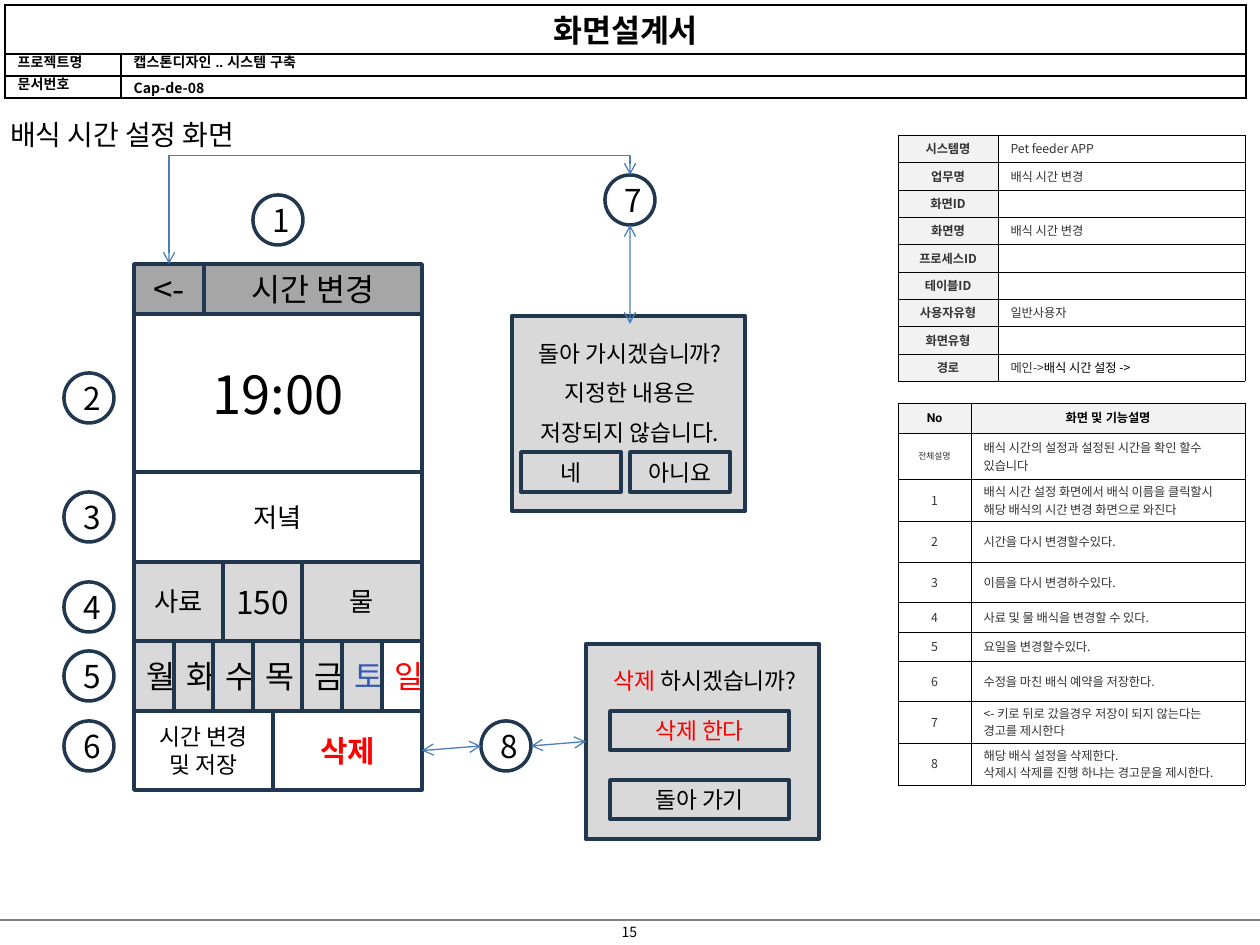
"""Build the screen design sheet for the feeding time settings screen."""
from itertools import pairwise

from lxml.etree import SubElement
from pptx import Presentation
from pptx.dml.color import RGBColor
from pptx.enum.shapes import MSO_CONNECTOR as LINK, MSO_SHAPE as SHAPE
from pptx.enum.text import MSO_ANCHOR as ANCHOR, MSO_AUTO_SIZE as FIT, PP_ALIGN as ALIGN
from pptx.oxml.ns import qn
from pptx.util import Emu, Pt

PX = 914400 / 126
NOTO = "Noto Sans CJK KR"
BLACK, WHITE, TEXT, RED = "000000", "FFFFFF", "333333", "FF0000"
NAVY, BLUE, PANEL, BAR, LABEL = "21364F", "4B7EBC", "D9D9D9", "A6A6A6", "F2F2F2"
color_of = RGBColor.from_string


def write(frame, text, size, color=BLACK, bold=False, font=NOTO, align=ALIGN.CENTER, tail=""):
    frame.text = text
    frame.word_wrap = True
    if tail:
        frame.paragraphs[0].add_run().text = tail
    for paragraph in frame.paragraphs:
        paragraph.alignment = align
        for run in paragraph.runs:
            run.font.size, run.font.bold = Pt(size), bold
            run.font.color.rgb = color_of(BLACK if run.text == tail else color)
            run.font.name = font
            SubElement(run.font._element, qn("a:ea"), typeface=font)
        if not paragraph.runs:
            SubElement(paragraph._p, qn("a:endParaRPr"), sz=str(size * 100))


def box(place, text, size, color=BLACK, fill=PANEL, line=2, kind=SHAPE.RECTANGLE, bold=False, tail=""):
    shape = slide.shapes.add_shape(kind, *[Emu(round(n * PX)) for n in place])
    shape.shadow.inherit = False
    shape.fill.solid()
    shape.fill.fore_color.rgb = color_of(fill)
    if line:
        shape.line.color.rgb = color_of(NAVY)
        shape.line.width = Pt(line)
    else:
        shape.line.fill.background()
    if text:
        shape.text_frame.vertical_anchor = ANCHOR.MIDDLE
        write(shape.text_frame, text, size, color, bold, tail=tail)
    return shape


deck = Presentation()
deck.slide_width, deck.slide_height = round(1260 * PX), round(945 * PX)
slide = deck.slides.add_slide(deck.slide_layouts[5])

title = slide.shapes.title
title.left, title.top, title.width, title.height = [round(n * PX) for n in (0, 106, 659, 50)]
frame = title.text_frame
write(frame, "배식 시간 설정 화면", 16, align=ALIGN.LEFT)
frame.auto_size, frame.vertical_anchor = FIT.NONE, ANCHOR.TOP
frame.margin_left = frame.margin_right = round(10 * PX)
frame.margin_top = frame.margin_bottom = round(5 * PX)
frame.paragraphs[0].line_spacing = 1.2

page_number = slide.shapes.add_textbox(*[round(n * PX) for n in (595, 917, 69, 30)])
write(page_number.text_frame, "15", 8)

document_rows = [("화면설계서", ""), ("프로젝트명", "캡스톤디자인 .. 시스템 구축"), ("문서번호", "Cap-de-08")]
function_rows = [
    ("No", "화면 및 기능설명"),
    ("전체설명", "배식 시간의 설정과 설정된 시간을 확인 할수 있습니다"),
    ("1", "배식 시간 설정 화면에서 배식 이름을 클릭할시 해당 배식의 시간 변경 화면으로 와진다"),
    ("2", "시간을 다시 변경할수있다."),
    ("3", "이름을 다시 변경하수있다."),
    ("4", "사료 및 물 배식을 변경할 수 있다."),
    ("5", "요일을 변경할수있다."),
    ("6", "수정을 마친 배식 예약을 저장한다."),
    ("7", "<- 키로 뒤로 갔을경우 저장이 되지 않는다는 경고를 제시한다"),
    ("8", "해당 배식 설정을 삭제한다.\n삭제시 삭제를 진행 하냐는 경고문을 제시한다."),
]
system_rows = [
    ("시스템명", "Pet feeder APP"), ("업무명", "배식 시간 변경"), ("화면ID", ""),
    ("화면명", "배식 시간 변경"), ("프로세스ID", ""), ("테이블ID", ""),
    ("사용자유형", "일반사용자"), ("화면유형", ""), ("경로", "메인->"),
]
document_text = (8, BLACK, True, "Arial", ALIGN.LEFT)
value_text = (7, TEXT, False, NOTO, ALIGN.LEFT)
tables = [
    (5, 5, (116, 1125), (49, 22, 22), document_rows, 1, 1, ANCHOR.TOP,
     ((18, BLACK, True, NOTO, ALIGN.CENTER), WHITE), (document_text, WHITE), (document_text, WHITE)),
    (898, 403, (73, 274), (30, 46, 42, 41, 40, 30, 29, 40, 42, 42), function_rows, 0.25, 2, ANCHOR.MIDDLE,
     ((7, BLACK, True, "Arial", ALIGN.CENTER), LABEL), ((7, TEXT, False, NOTO, ALIGN.CENTER), None),
     (value_text, None)),
    (898, 135, (100, 247), (27, 28, 27) * 3, system_rows, 0.25, 2, ANCHOR.MIDDLE,
     None, ((7, TEXT, True, NOTO, ALIGN.CENTER), LABEL), (value_text, None)),
]
grids = []
for left, top, widths, heights, rows, border, margin, anchor, heading, label, value in tables:
    size = [round(n * PX) for n in (left, top, sum(widths), sum(heights))]
    grid = slide.shapes.add_table(len(rows), 2, *size).table
    grids.append(grid)
    for column, width in zip(grid.columns, widths):
        column.width = round(width * PX)
    for r, (row, height) in enumerate(zip(rows, heights)):
        grid.rows[r].height = round(height * PX)
        for c, text in enumerate(row):
            cell = grid.cell(r, c)
            style, fill = heading if heading and r == 0 else value if c else label
            write(cell.text_frame, text, *style)
            cell.vertical_anchor = anchor
            cell.margin_top = cell.margin_bottom = round(margin * PX)
            for side in ("lnL", "lnR", "lnT", "lnB"):
                edge = SubElement(cell._tc.get_or_add_tcPr(), qn(f"a:{side}"), w=str(Pt(border)))
                SubElement(SubElement(edge, qn("a:solidFill")), qn("a:srgbClr"), val=BLACK)
            if fill:
                cell.fill.solid()
                cell.fill.fore_color.rgb = color_of(fill)
            else:
                cell.fill.background()

document, functions, system = grids
document.cell(0, 0).merge(document.cell(0, 1))
write(document.cell(2, 1).text_frame, "Cap-de-08", 8, bold=True, align=ALIGN.LEFT)
write(functions.cell(0, 0).text_frame, "No", 7, bold=True, font="Roboto")
write(functions.cell(1, 0).text_frame, "전체설명", 5, TEXT)
write(system.cell(8, 1).text_frame, "메인->", 7, TEXT, align=ALIGN.LEFT, tail="배식 시간 설정 ->")

days = [(day, 18, BLACK, PANEL) for day in "월화수목금"]
phone_rows = [
    (264, 314, (134, 204, 422), [("<-", 20, BLACK, BAR), ("시간 변경", 18, BLACK, BAR)]),
    (314, 472, (134, 422), [("19:00", 30, BLACK, WHITE)]),
    (472, 562, (134, 422), [("저녘", 15, BLACK, WHITE)]),
    (562, 641, (134, 223, 302, 422),
     [("사료", 15, BLACK, PANEL), ("150", 18, BLACK, PANEL), ("물", 15, BLACK, PANEL)]),
    (641, 711, (134, 174, 213, 253, 302, 342, 382, 422),
     days + [("토", 18, "3057B9", PANEL), ("일", 18, RED, WHITE)]),
    (711, 790, (134, 273, 422), [("시간 변경\n및 저장", 13, BLACK, WHITE), ("삭제", 17, RED, WHITE)]),
]
for top, bottom, edges, cells in phone_rows:
    for (left, right), (text, size, color, fill) in zip(pairwise(edges), cells):
        delete_button = box((left, top, right - left, bottom - top), text, size, color, fill, bold=text == "삭제")

markers = [(253, 195), (64, 373), (64, 492), (64, 582), (64, 651), (64, 721), (605, 175), (481, 721)]
for number, (left, top) in enumerate(markers, 1):
    box((left, top, 50, 50), str(number), 18, fill=WHITE, kind=SHAPE.OVAL)

box((512, 316, 233, 195), "", 13, line=2.5)
leave_question = box((521, 324, 218, 59), "돌아 가시겠습니까?", 13, line=0)
box((521, 373, 218, 39), "지정한 내용은", 13, line=0)
box((521, 413, 218, 39), "저장되지 않습니다.", 13, line=0)
box((521, 452, 100, 40), "네", 13)
box((630, 452, 100, 40), "아니요", 13)

delete_dialog = box((586, 644, 233, 195), "", 13, line=2.5)
box((596, 651, 218, 59), "삭제", 13, RED, line=0, tail=" 하시겠습니까?")
box((610, 711, 179, 39), "삭제 한다", 13, RED)
box((610, 780, 179, 39), "돌아 가기", 13)

links = [
    (LINK.STRAIGHT, (0, 920, 1260, 920), "808080", None, None),
    (LINK.ELBOW, (355, -11, 444, 450), BLUE, None, None),
    (LINK.STRAIGHT, (630, 225, 630, 324), BLUE, None, (leave_question, 0)),
    (LINK.STRAIGHT, (422, 750, 481, 746), BLUE, (delete_button, 3), None),
    (LINK.STRAIGHT, (531, 746, 586, 742), BLUE, None, (delete_dialog, 1)),
]
for kind, ends, color, begin, end in links:
    link = slide.shapes.add_connector(kind, *[round(n * PX) for n in ends])
    if begin:
        link.begin_connect(*begin)
    if end:
        link.end_connect(*end)
    link.line.color.rgb = color_of(color)
    link.line.width = Pt(0.75)
    properties = link._element.spPr
    if color == BLUE:
        for tip in ("headEnd", "tailEnd"):
            SubElement(properties.find(qn("a:ln")), qn(f"a:{tip}"), type="arrow")
    SubElement(properties, qn("a:effectLst"))
    if kind == LINK.ELBOW:
        for key, setting in (("rot", "5400000"), ("flipH", "1"), ("flipV", "1")):
            properties.find(qn("a:xfrm")).set(key, setting)
        bends = properties.find(qn("a:prstGeom")).find(qn("a:avLst"))
        SubElement(bends, qn("a:gd"), name="adj1", fmla="val 121700")

deck.save("out.pptx")
